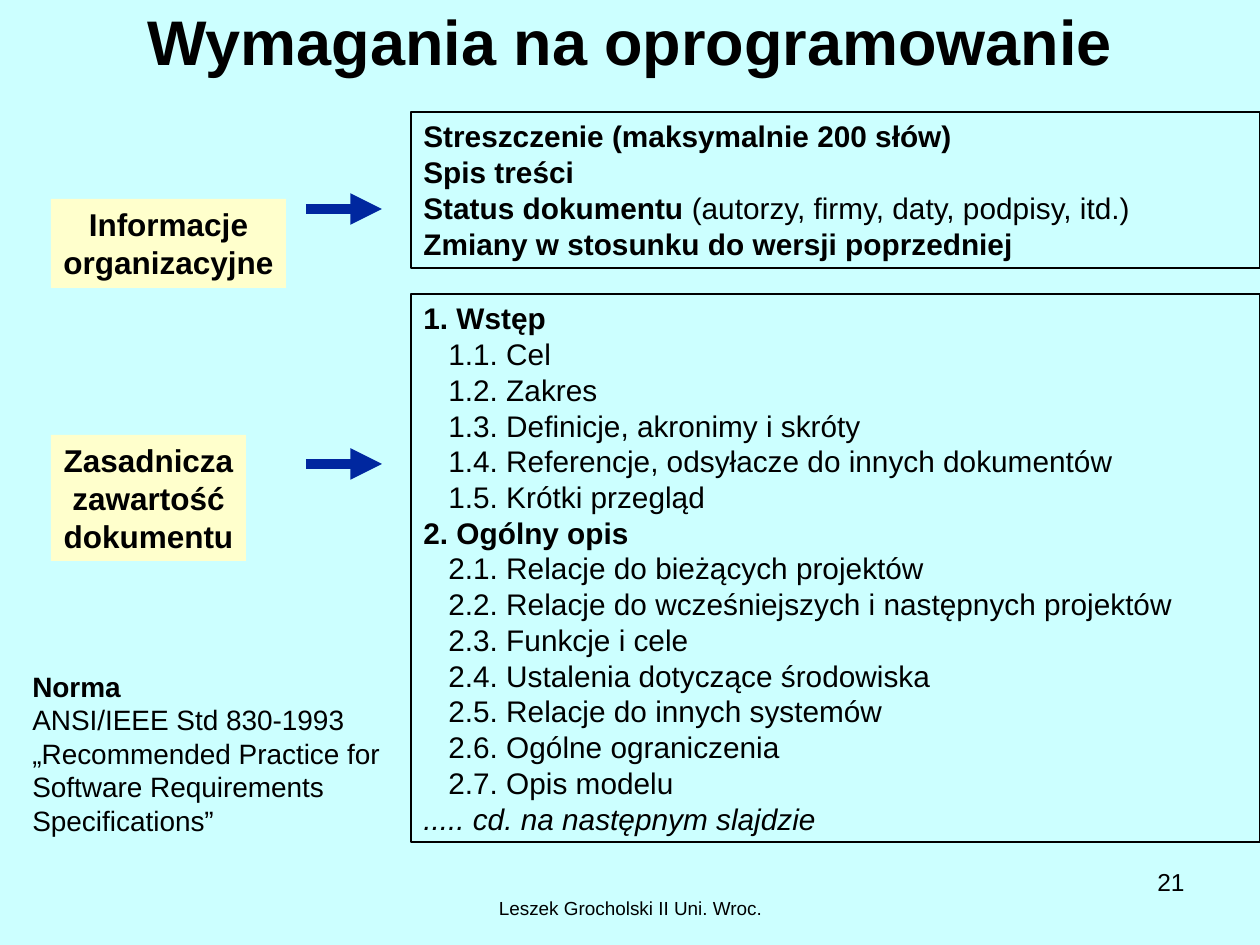
"""Build the slide on the contents of a software requirements document."""
from lxml import etree
from pptx import Presentation
from pptx import util as u
from pptx.dml.color import RGBColor
from pptx.enum import shapes, text
from pptx.oxml.ns import qn

BLACK = RGBColor(0x00, 0x00, 0x00)
AQUA = RGBColor(0xCC, 0xFF, 0xFF)
CREAM = RGBColor(0xFF, 0xFF, 0xCC)
NAVY = RGBColor(0x00, 0x27, 0x9F)
LEFT, MID, RIGHT = text.PP_ALIGN.LEFT, text.PP_ALIGN.CENTER, text.PP_ALIGN.RIGHT
BOLD, ITALIC, PLAIN = {"bold": True}, {"italic": True}, {"bold": False}


def px(*nums):
    return [u.Emu(round(n * 914400 / 126)) for n in nums]


def write(frame, paras, size, align, wrap=True):
    frame.word_wrap = wrap
    frame.auto_size = text.MSO_AUTO_SIZE.NONE
    for i, (runs, indent) in enumerate(paras):
        para = frame.add_paragraph() if i else frame.paragraphs[0]
        para.alignment = align
        if indent:
            para._p.get_or_add_pPr().set("marL", str(px(indent)[0]))
        for words, style in runs:
            run = para.add_run()
            run.text = words
            look = {"name": "Arial", "size": u.Pt(size), **style}
            for key, value in look.items():
                setattr(run.font, key, value)
            run.font.color.rgb = BLACK


deck = Presentation()
deck.slide_width, deck.slide_height = px(1260, 945)
slide = deck.slides.add_slide(deck.slide_layouts[5])
slide.background.fill.solid()
slide.background.fill.fore_color.rgb = AQUA

title = slide.shapes.title
title.left, title.top, title.width, title.height = px(63, 21, 1134, 39)
title.text_frame.vertical_anchor = text.MSO_ANCHOR.MIDDLE
write(title.text_frame, [([("Wymagania na oprogramowanie", BOLD)], 0)], 36, MID)

heads = ["Streszczenie (maksymalnie 200 słów)", "Spis treści",
         "Status dokumentu ", "Zmiany w stosunku do wersji poprzedniej"]
intro = [([(head, BOLD)], 0) for head in heads]
intro[2][0].append(("(autorzy, firmy, daty, podpisy, itd.)", PLAIN))

parts = {
    "Wstęp": ["Cel", "Zakres", "Definicje, akronimy i skróty",
              "Referencje, odsyłacze do innych dokumentów", "Krótki przegląd"],
    "Ogólny opis": ["Relacje do bieżących projektów",
                    "Relacje do wcześniejszych i następnych projektów",
                    "Funkcje i cele", "Ustalenia dotyczące środowiska",
                    "Relacje do innych systemów", "Ogólne ograniczenia",
                    "Opis modelu"],
}
body = []
for n, (head, items) in enumerate(parts.items(), 1):
    body.append(([(f"{n}. {head}", BOLD)], 0))
    for m, item in enumerate(items, 1):
        body.append(([(f"{n}.{m}. {item}", PLAIN)], 25))
body.append(([("..... cd. na następnym slajdzie", ITALIC)], 0))

info = [([(word, BOLD)], 0) for word in ("Informacje", "organizacyjne")]
main = [([(word, BOLD)], 0) for word in ("Zasadnicza", "zawartość", "dokumentu")]

boxes = [
    ((411, 112, 849, 156), AQUA, True, intro, 17, LEFT),
    ((411, 294, 849, 548), AQUA, True, body, 17, LEFT),
    ((51, 199, 235, 89), CREAM, False, info, 18, MID),
    ((51, 435, 195, 126), CREAM, False, main, 18, MID),
]
for place, tint, framed, paras, size, align in boxes:
    box = slide.shapes.add_shape(shapes.MSO_SHAPE.RECTANGLE, *px(*place))
    box.shadow.inherit = False
    box.fill.solid()
    box.fill.fore_color.rgb = tint
    if framed:
        box.line.color.rgb = BLACK
        box.line.width = u.Pt(1)
    else:
        box.line.fill.background()
    box.text_frame.vertical_anchor = text.MSO_ANCHOR.TOP
    write(box.text_frame, paras, size, align, framed)

for y in (209, 464):
    arrow = slide.shapes.add_connector(
        shapes.MSO_CONNECTOR.STRAIGHT, *px(306, y, 382, y))
    arrow.line.color.rgb = NAVY
    arrow.line.width = u.Pt(6)
    etree.SubElement(arrow.line._get_or_add_ln(), qn("a:tailEnd"), type="triangle")
    etree.SubElement(arrow._element.spPr, qn("a:effectLst"))

norm = [
    ([("Norma", BOLD)], 0),
    ([("ANSI/IEEE Std 830-1993", PLAIN)], 0),
    ([("„Recommended Practice for Software Requirements Specifications”", PLAIN)], 0),
]
notes = [
    ((20, 663, 379, 181), norm, 16, LEFT),
    ((431, 890, 399, 37), [([("Leszek Grocholski II Uni. Wroc.", PLAIN)], 0)], 10.8, MID),
    ((903, 861, 294, 66), [([("21", PLAIN)], 0)], 14, RIGHT),
]
for place, paras, size, align in notes:
    note = slide.shapes.add_textbox(*px(*place))
    write(note.text_frame, paras, size, align)

deck.save("out.pptx")
